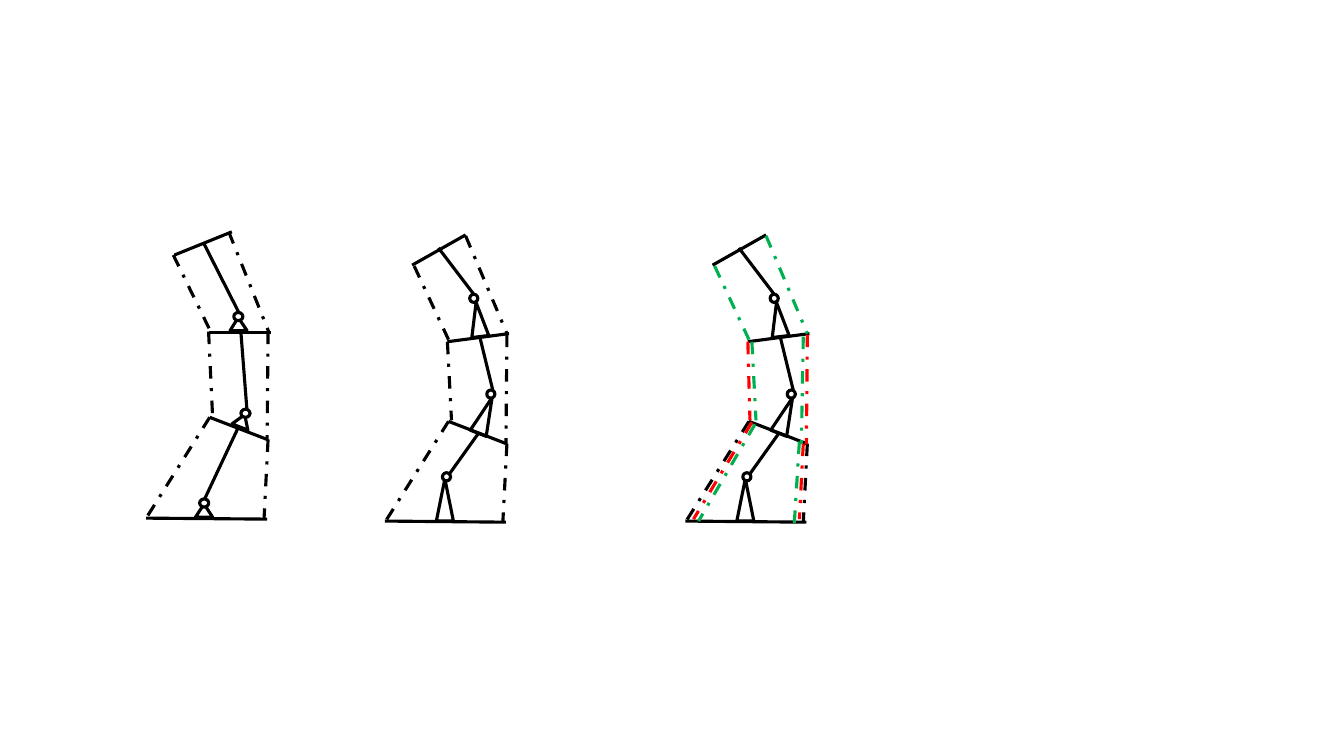
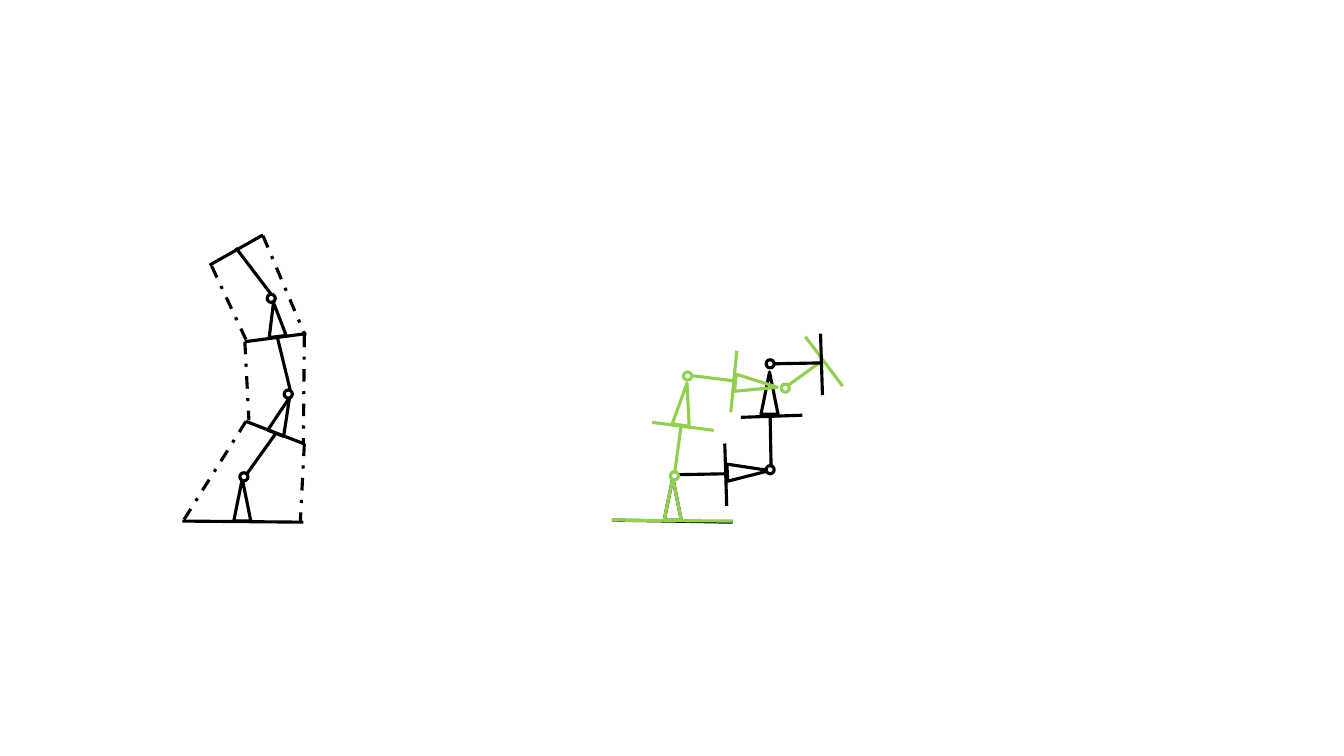
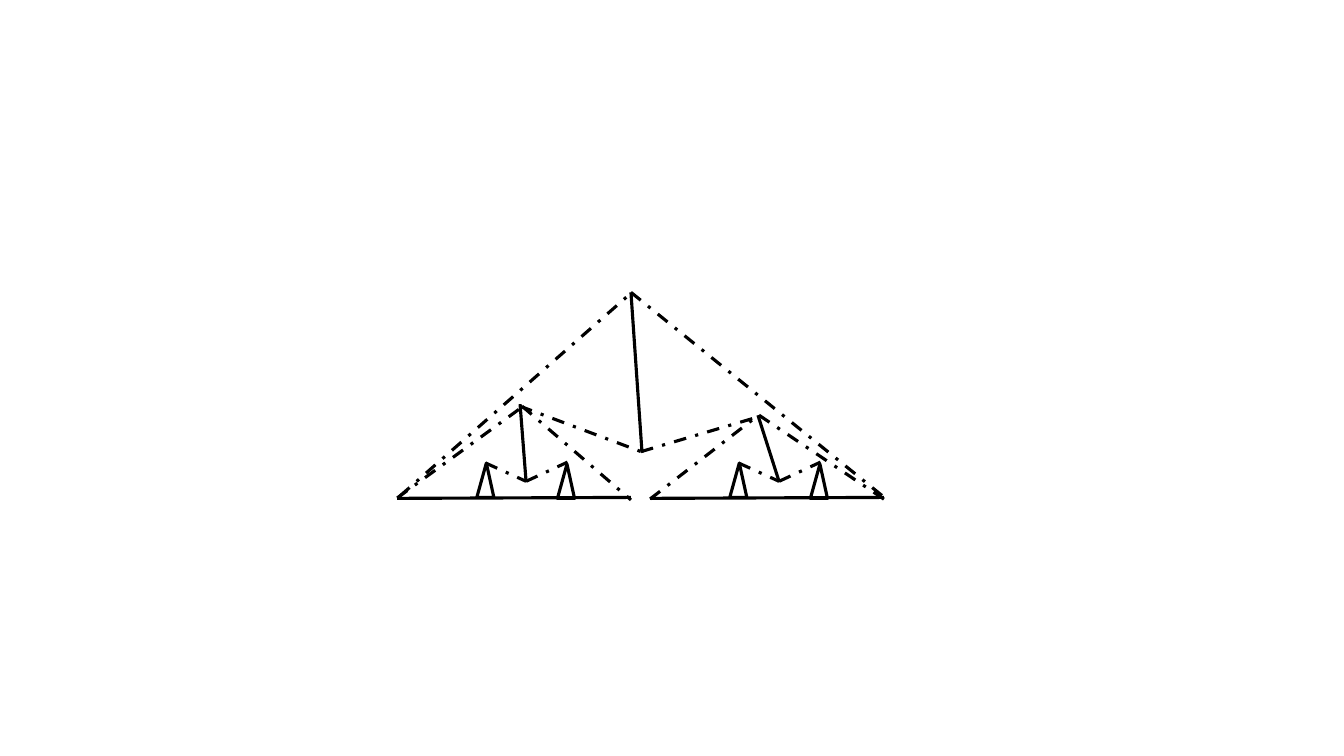
from dataclasses import dataclass

from lxml import etree
from pptx import Presentation
from pptx.dml.color import RGBColor
from pptx.enum.dml import MSO_LINE
from pptx.enum.shapes import MSO_CONNECTOR, MSO_SHAPE
from pptx.oxml.ns import qn
from pptx.util import Pt

LINE = MSO_CONNECTOR.STRAIGHT
STAND = MSO_SHAPE.ISOSCELES_TRIANGLE
RING = MSO_SHAPE.OVAL
DASH = MSO_LINE.DASH_DOT


@dataclass(frozen=True)
class Theme:
    black: str = "000000"
    white: str = "FFFFFF"
    red: str = "FF0000"
    green: str = "00B050"
    lime: str = "92D050"
    stroke: float = 2.25
    foot: float = 12.2  # width of a stand
    pin: float = 5.8  # height of a pin


@dataclass
class Figure:
    """Stands are (x, y, height, turn), pins (x, y, width), rods and cables end points."""
    page: int
    stands: tuple = ()
    rods: tuple = ()
    cables: tuple = ()
    pins: tuple = ()
    ink: str = Theme.black
    dx: float = 0
    apex: float = 0.5


def join(home, ends, ink, dx):
    line = home.add_connector(LINE, *(Pt(v) for v in (
        ends[0] + dx, ends[1], ends[2] + dx, ends[3])))
    line.line.width = Pt(THEME.stroke)
    line.line.color.rgb = RGBColor.from_string(ink)
    etree.SubElement(line._element.spPr, qn("a:effectLst"))
    return line


def mark(home, kind, box, ink):
    shape = home.add_shape(kind, *(Pt(v) for v in box))
    shape.shadow.inherit = False
    shape.fill.background()
    shape.line.width = Pt(THEME.stroke)
    shape.line.color.rgb = RGBColor.from_string(ink)
    return shape


THEME = Theme()
figures = []

# Slide 1: arm with short stands
figures.append(Figure(
    page=0,
    stands=((139.7, 360, 9.4, 0), (167, 295.9, 9.4, 21.3),
            (164.2, 226.8, 9.4, 358.9)),
    rods=((104.4, 370.1, 190.8, 370.8), (146.2, 356.4, 169.9, 306),
          (149.8, 298.1, 190.8, 313.9), (176.4, 293, 172.1, 237.6),
          (193.7, 237.6, 149, 237.6), (170.6, 223.2, 145.4, 173.5),
          (165.6, 165.6, 124.6, 182.2)),
    cables=((149.8, 298.1, 104.4, 370.1), (191.5, 313.9, 188.6, 370.8),
            (191.5, 236.9, 190.8, 314.6), (149, 236.9, 151.9, 298.1),
            (163.4, 165.6, 192.2, 237.6), (123.8, 182.2, 150.5, 236.9)),
    pins=((142.6, 356.4, 6.5), (172.1, 292.3, 6.5), (167, 223.2, 6.5))))

# Slides 1 and 2: arm with tall stands, measured from its left foot
for page, dx, middle, top, knee in (
        (0, 275, THEME.black, THEME.black, 47.5),
        (0, 489.6, THEME.red, THEME.green, 46.1),
        (1, 130.3, THEME.black, THEME.black, 47.5)):
    figures.append(Figure(
        page=page, dx=dx,
        stands=((36.7, 342, 30.2, 0), (65.5, 283, 27.4, 21.3),
                (60.5, 216, 24.5, 353)),
        rods=((0, 372.2, 86.4, 373), (46.1, 338.4, 67, 309.2),
              (45.4, 301, 86.4, 316.8), (77, 278.6, 67.7, 240.5),
              (88.6, 238.3, 44.6, 244.1), (63.4, 210.2, 38.2, 177.1),
              (57.6, 167.8, 19.4, 189.4)),
        cables=((45.4, 301, 0, 373), (87.1, 316.8, 84.2, 373),
                (87.1, 239, 86.4, 317.5, middle),
                (44.6, 244.1, knee, 300.2, middle),
                (57.6, 168.5, 87.1, 238.3, top),
                (20.9, 190.1, 45.4, 242.6, top)),
        pins=((41, 337.7, 5.8), (72.7, 278.6, 5.8), (60.5, 210.2, 5.8))))

# Slide 1: cables that run on down the coloured arm
figures.append(Figure(
    page=0, ink=THEME.red,
    cables=((537.1, 301.7, 495.4, 370.8), (573.8, 316.8, 571, 370.8))))
figures.append(Figure(
    page=0, ink=THEME.green,
    cables=((537.1, 244.1, 540, 300.2), (539.3, 303.1, 499, 372.2),
            (573.8, 240.5, 572.4, 316.8), (571, 315.4, 567.4, 373.7))))

# Slide 2: folded arm in two poses
figures.append(Figure(
    page=1, ink=THEME.lime,
    rods=((559.4, 277.9, 588.2, 257), (575.3, 240.5, 601.9, 275.8))))
figures.append(Figure(
    page=1,
    stands=((474.5, 341.3, 30.2, 0), (528.5, 321.8, 30.2, 87.2),
            (543.6, 265.7, 30.2, 0)),
    rods=((550.8, 332.6, 550.1, 296.6), (529.2, 298.1, 573.1, 296.6),
          (437, 371.5, 523.4, 373), (483.1, 339.1, 519.1, 338.4),
          (517.7, 316.8, 519.1, 361.4), (551.5, 259.9, 587.5, 259.2),
          (586.1, 238.3, 587.5, 282.2)),
    pins=((547.2, 257, 5.8), (547.2, 332.6, 5.8))))
figures.append(Figure(
    page=1, ink=THEME.lime,
    stands=((474.5, 341.3, 30.2, 0), (534.2, 259.9, 30.2, 96),
            (482.4, 273.6, 30.2, 8.5)),
    rods=((437, 371.5, 523.4, 372.2), (489.6, 267.8, 525.6, 272.2),
          (526.3, 250.6, 522, 294.5), (481.7, 339.1, 486.7, 303.1),
          (465.8, 301.7, 509.8, 307.4)),
    pins=((478.8, 337, 5.8), (558, 274.3, 5.8), (488.2, 265.7, 5.8))))

# Slide 3: two equal bases, each with its own tent, under one roof
for dx in (0, 180.7):
    figures.append(Figure(
        page=2, dx=dx, apex=0.56,
        stands=((340.6, 330.8, 24.5, 0), (398.2, 331.5, 24.5, 0)),
        rods=((450.7, 355.3, 283.7, 356),),
        cables=((375.8, 343.8, 405.4, 330.1), (347, 330.8, 375.8, 343.8))))
figures.append(Figure(
    page=2,
    rods=((375.8, 344.2, 371.5, 288.7), (556.6, 344.2, 541.4, 296.6),
          (458.6, 323.3, 450.7, 208.8)),
    cables=((283.7, 355.7, 373.7, 290.2), (373, 290.2, 450.7, 357.1),
            (464.4, 356.4, 540.7, 297.4), (542.2, 296.6, 632.2, 357.1),
            (371.5, 290.2, 457.9, 322.6), (457.9, 322.6, 542.9, 297.4),
            (285.8, 354.2, 452.2, 208.1), (450.7, 208.8, 632.2, 355.7))))

deck = Presentation()
deck.slide_width, deck.slide_height = Pt(960), Pt(540)
blank = deck.slide_layouts[6]
slides = [deck.slides.add_slide(blank) for _ in range(3)]

for fig in figures:
    home = slides[fig.page].shapes.add_group_shape().shapes
    for x, y, height, turn in fig.stands:
        stand = mark(home, STAND, (x + fig.dx, y, THEME.foot, height), fig.ink)
        stand.adjustments[0] = fig.apex
        stand.rotation = turn
    for ends in fig.rods:
        join(home, ends, fig.ink, fig.dx)
    for *ends, ink in (c if len(c) == 5 else (*c, fig.ink) for c in fig.cables):
        join(home, ends, ink, fig.dx).line.dash_style = DASH
    for x, y, width in fig.pins:
        pin = mark(home, RING, (x + fig.dx, y, width, THEME.pin), fig.ink)
        pin.fill.solid()
        pin.fill.fore_color.rgb = RGBColor.from_string(THEME.white)

deck.save("out.pptx")
